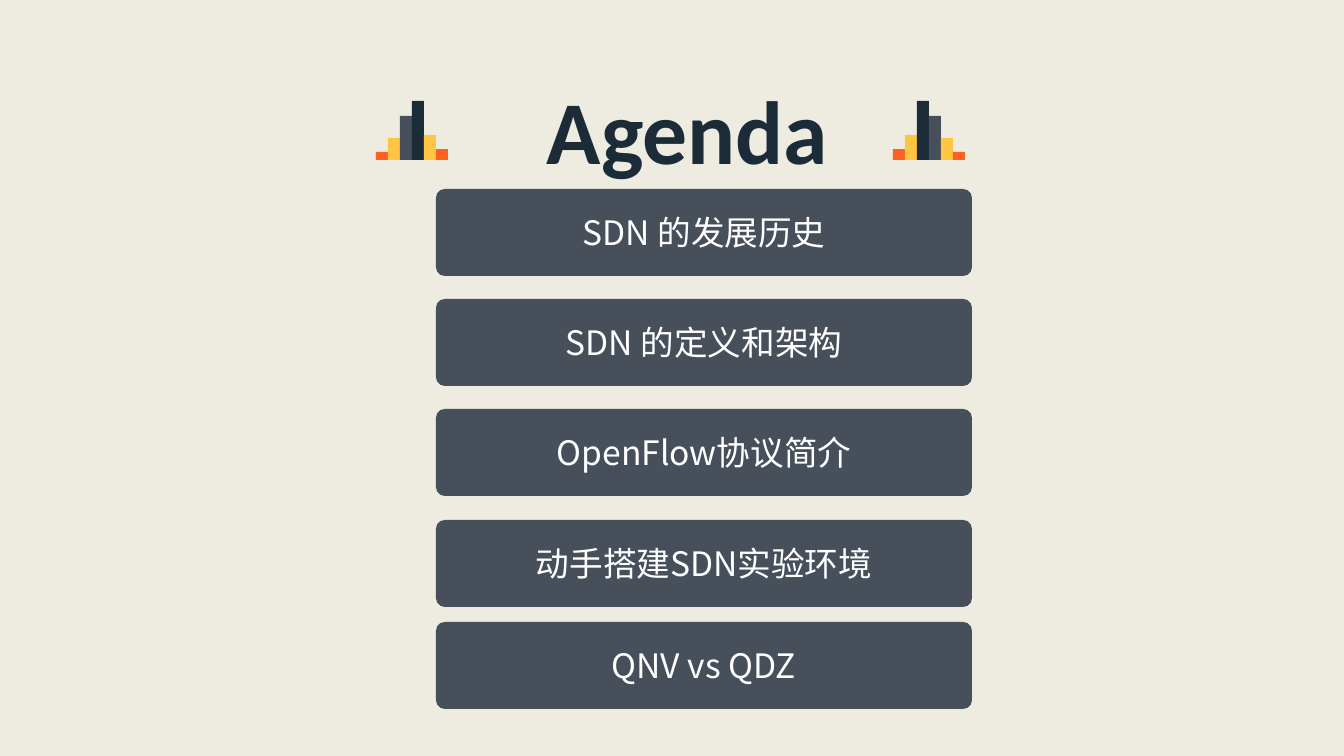
from lxml.etree import SubElement
from pptx import Presentation
from pptx.dml.color import RGBColor
from pptx.enum.shapes import MSO_SHAPE
from pptx.enum.text import MSO_ANCHOR, PP_ALIGN
from pptx.oxml.ns import qn
from pptx.util import Pt

EMU_PER_PX = 914400 / 100.8
CREAM, NAVY, SLATE = "EEECE1", "1C2B38", "464F5A"
ORANGE, YELLOW, WHITE = "FC611F", "FFC543", "FFFFFF"
SKYLINE = [(8, ORANGE), (22, YELLOW), (44, SLATE), (59, NAVY), (25, YELLOW), (11, ORANGE)]
TOPICS = [
    (189, "SDN 的发展历史"),
    (299, "SDN 的定义和架构"),
    (409, "OpenFlow协议简介"),
    (520, "动手搭建SDN实验环境"),
    (622, "QNV vs QDZ"),
]


def px(*lengths):
    """Turn pixel lengths into EMU."""
    return [round(length * EMU_PER_PX) for length in lengths]


def paint(fill, color):
    """Give a fill one solid colour."""
    fill.solid()
    fill.fore_color.rgb = RGBColor.from_string(color)


def add_block(slide, preset, box, color):
    """Add a plain filled shape without line or shadow."""
    block = slide.shapes.add_shape(preset, *px(*box))
    paint(block.fill, color)
    block.line.fill.background()
    block.shadow.inherit = False
    return block


def write(frame, words, size, font_name, color, bold=False):
    """Write one centred run into a text frame."""
    frame.word_wrap = True
    paragraph = frame.paragraphs[0]
    paragraph.alignment = PP_ALIGN.CENTER
    run = paragraph.add_run()
    run.text = words
    run.font.size = Pt(size)
    run.font.bold = bold
    run.font.color.rgb = RGBColor.from_string(color)
    run.font.name = font_name
    SubElement(run.font._element, qn("a:ea"), typeface=font_name)


def add_skyline(slide, left, top, width, height, bars):
    """Draw adjoining bars that stand on the bottom of the box."""
    bar_width = width // len(bars)
    for index, (bar_height, color) in enumerate(bars):
        box = (left + index * bar_width, top + height - bar_height, bar_width, bar_height)
        add_block(slide, MSO_SHAPE.RECTANGLE, box, color)


def add_heading(slide, left, top, width, height):
    """Place the title between two mirrored skylines."""
    title = slide.shapes.add_textbox(*px(left + 100, top - 31, width - 166, 119))
    write(title.text_frame, "Agenda", 64, "Calibri", NAVY, bold=True)
    icon_width = 72
    add_skyline(slide, left, top, icon_width, height, SKYLINE)
    add_skyline(slide, left + width - icon_width, top, icon_width, height, SKYLINE[::-1])


def add_topic(slide, left, top, width, height, topic):
    """Place one agenda entry on a rounded bar."""
    bar = add_block(slide, MSO_SHAPE.ROUNDED_RECTANGLE, (left, top, width, height), SLATE)
    bar.adjustments[0] = 0.1
    bar.text_frame.vertical_anchor = MSO_ANCHOR.MIDDLE
    write(bar.text_frame, topic, 24, "Noto Sans CJK SC", WHITE)


def main():
    """Build the agenda slide and save it."""
    deck = Presentation()
    deck.slide_width, deck.slide_height = px(1344, 756)
    slide = deck.slides.add_slide(deck.slide_layouts[6])
    paint(slide.background.fill, CREAM)
    add_heading(slide, 376, 101, 589, 59)
    for top, topic in TOPICS:
        add_topic(slide, 436, top, 536, 87, topic)
    deck.save("out.pptx")


if __name__ == "__main__":
    main()
